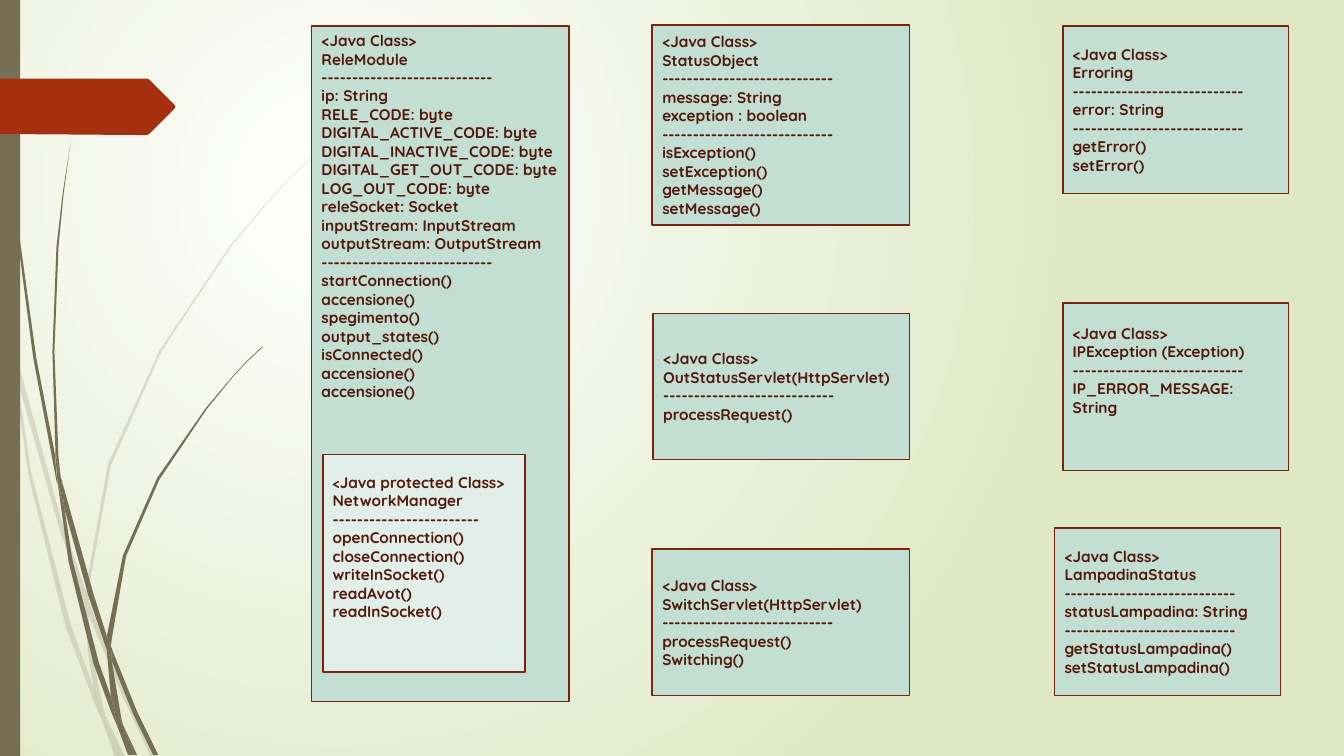
"""Build a slide of Java class boxes over a background of curved grass blades."""
from dataclasses import dataclass

from lxml.etree import SubElement
from pptx import Presentation
from pptx.dml.color import RGBColor as RGB
from pptx.enum.shapes import MSO_SHAPE as SHAPE
from pptx.enum.text import MSO_ANCHOR as ANCHOR, PP_ALIGN as ALIGN
from pptx.oxml.ns import qn
from pptx.util import Pt

RULE = "-" * 28
SHORT_RULE = "-" * 24

CLASSES = [
    {"at": (1046, 524, 224, 166),
     "lines": ["<Java Class>", "LampadinaStatus", RULE, "statusLampadina: String", RULE,
               "getStatusLampadina()", "setStatusLampadina()"]},
    {"at": (647, 25, 255, 198),
     "lines": ["<Java Class>", "StatusObject", RULE, "message: String", "exception : boolean",
               RULE, "isException()", "setException()", "getMessage()", "setMessage()"]},
    {"at": (1054, 26, 224, 166),
     "lines": ["<Java Class>", "Erroring", RULE, "error: String", RULE,
               "getError()", "setError()"]},
    {"at": (1054, 301, 224, 166), "bottom": 38,
     "lines": ["<Java Class>", "IPException (Exception)", RULE, "IP_ERROR_MESSAGE: String"]},
    {"at": (309, 26, 255, 670), "anchor": ANCHOR.TOP,
     "lines": ["<Java Class>", "ReleModule", RULE, "ip: String", "RELE_CODE: byte",
               "DIGITAL_ACTIVE_CODE: byte", "DIGITAL_INACTIVE_CODE: byte",
               "DIGITAL_GET_OUT_CODE: byte", "LOG_OUT_CODE: byte", "releSocket: Socket",
               "inputStream: InputStream", "outputStream: OutputStream", RULE,
               "startConnection()", "accensione()", "spegimento()", "output_states()",
               "isConnected()", "accensione()", "accensione()"]},
    {"at": (320, 451, 201, 216), "bottom": 38, "nested": True,
     "lines": [("<", "Java protected Class>"), "NetworkManager", SHORT_RULE,
               "openConnection()", "closeConnection()", "writeInSocket()", "readAvot()",
               "readInSocket()"]},
    {"at": (648, 311, 254, 145),
     "lines": ["<Java Class>", "OutStatusServlet(HttpServlet)", RULE, "processRequest()"]},
    {"at": (647, 545, 255, 145),
     "lines": ["<Java Class>", "SwitchServlet(HttpServlet)", RULE, "processRequest()",
               "Switching()"]},
]

PALE_GRASS = [
    [(11, 350), (9, 322), (0, 282), (0, 299), (10, 344)],
    [(58, 522), (84, 599), (85, 586), (62, 520), (14, 345), (17, 376)],
    [(92, 607), (88, 596), (88, 610), (123, 694), (150, 751), (155, 751), (127, 692)],
    [(119, 751), (124, 751), (105, 711)],
    [(93, 683), (70, 619), (31, 469), (17, 376), (11, 350), (28, 470), (65, 621), (92, 693),
     (101, 714), (99, 707)],
    [(84, 599), (87, 646), (93, 683), (96, 692), (105, 711), (103, 706), (91, 646), (88, 610),
     (88, 608)],
    [(88, 584), (110, 462), (160, 349), (229, 245), (268, 198), (290, 175), (312, 154),
     (312, 153), (289, 175), (268, 197), (228, 244), (158, 348), (107, 461), (85, 584),
     (85, 586), (88, 596)],
    [(101, 714), (114, 751), (119, 751)],
    [(88, 608), (88, 610), (88, 596), (85, 586), (84, 599)],
    [(96, 692), (93, 683), (99, 707), (101, 714), (119, 751), (105, 711)],
]
DARK_GRASS = [
    [(7, 110), (17, 233), (33, 355), (56, 477), (57, 481), (55, 457), (55, 453), (36, 355),
     (19, 232), (8, 109), (5, 48), (4, 0), (3, 0), (4, 48)],
    [(88, 592), (106, 645), (106, 633), (106, 631), (93, 590), (60, 472), (64, 505)],
    [(113, 649), (110, 641), (111, 656), (132, 708), (152, 749), (157, 749), (136, 706)],
    [(110, 691), (98, 657), (72, 556), (64, 505), (57, 477), (68, 557), (93, 659), (111, 708),
     (117, 722), (116, 717)],
    [(60, 472), (58, 453), (54, 349), (58, 245), (63, 193), (70, 141), (62, 193), (56, 245),
     (52, 349), (55, 449)],
    [(133, 749), (136, 749), (122, 719)],
    [(57, 477), (64, 505), (60, 472), (55, 449), (55, 453)],
    [(111, 633), (125, 552), (158, 476), (205, 406), (231, 374), (245, 359), (261, 344),
     (260, 344), (245, 358), (231, 373), (204, 405), (156, 474), (122, 551), (106, 631),
     (110, 641)],
    [(117, 722), (127, 749), (131, 749)],
    [(106, 645), (110, 691), (116, 706), (122, 719), (121, 716), (111, 656), (109, 651)],
    [(106, 645), (109, 651), (111, 656), (110, 641), (106, 631), (106, 633)],
    [(116, 706), (110, 691), (116, 717), (117, 722), (130, 749), (133, 749), (122, 719)],
]
BANNER = [(173, 108), (148, 133), (146, 134), (136, 134), (0, 133), (0, 78), (136, 78),
          (146, 78), (148, 79), (173, 104), (174, 106)]


@dataclass(frozen=True)
class Theme:
    font: str = "Quicksand"
    size: Pt = Pt(11)
    bracket: Pt = Pt(10)
    border: Pt = Pt(1.25)
    text: RGB = RGB(0x52, 0x18, 0x08)
    line: RGB = RGB(0x7A, 0x24, 0x0C)
    box: RGB = RGB(0xC3, 0xDE, 0xD3)
    nested: RGB = RGB(0xE1, 0xEE, 0xE9)
    grass: RGB = RGB(0x76, 0x6F, 0x54)
    banner: RGB = RGB(0xA5, 0x30, 0x10)
    glow: RGB = RGB(0xFF, 0xFF, 0xFF)
    edge: RGB = RGB(0xDF, 0xE8, 0xC4)


T = Theme()
PX = 9144
W, H = 1333, 750


def px(n):
    return n * PX


def paint(sp, color):
    sp.shadow.inherit = False
    sp.fill.solid()
    sp.fill.fore_color.rgb = color
    sp.line.fill.background()
    return sp


def add_rect(slide, at, color):
    return paint(slide.shapes.add_shape(SHAPE.RECTANGLE, *map(px, at)), color)


def add_outline(slide, points, color, alpha=None):
    builder = slide.shapes.build_freeform(*points[0], scale=PX)
    builder.add_line_segments(points[1:], close=True)
    sp = paint(builder.convert_to_shape(), color)
    if alpha:
        fill = sp.element.spPr.find(qn("a:solidFill"))
        SubElement(fill[0], qn("a:alpha"), {"val": str(alpha * 1000)})


def set_background(slide):
    fill = slide.background.fill
    fill.gradient()
    for stop, color in zip(fill.gradient_stops, (T.glow, T.edge)):
        stop.color.rgb = color
    grad = slide.element.find(".//" + qn("a:gradFill"))
    grad.remove(grad.find(qn("a:lin")))
    circle = SubElement(grad, qn("a:path"), {"path": "circle"})
    SubElement(circle, qn("a:fillToRect"),
               {"l": "50000", "t": "50000", "r": "100000", "b": "100000"})


def add_class(slide, item):
    sp = add_rect(slide, item["at"], T.nested if item.get("nested") else T.box)
    sp.line.color.rgb = T.line
    sp.line.width = T.border
    tf = sp.text_frame
    tf.word_wrap = True
    tf.vertical_anchor = item.get("anchor", ANCHOR.MIDDLE)
    tf.margin_left = tf.margin_right = px(10)
    tf.margin_top, tf.margin_bottom = px(5), px(item.get("bottom", 5))
    for i, line in enumerate(item["lines"]):
        p = tf.add_paragraph() if i else tf.paragraphs[0]
        p.alignment = ALIGN.JUSTIFY
        for text in (line,) if isinstance(line, str) else line:
            r = p.add_run()
            r.text = text
            r.font.name, r.font.bold = T.font, True
            r.font.size = T.bracket if text == "<" else T.size
            r.font.color.rgb = T.text


def main():
    prs = Presentation()
    prs.slide_width, prs.slide_height = px(W), px(H)
    slide = prs.slides.add_slide(prs.slide_layouts[6])
    set_background(slide)
    for points in PALE_GRASS:
        add_outline(slide, points, T.grass, alpha=20)
    for points in DARK_GRASS:
        add_outline(slide, points, T.grass)
    add_rect(slide, (0, 0, 20, H), T.grass)
    add_outline(slide, BANNER, T.banner)
    for item in CLASSES:
        add_class(slide, item)
    prs.save("out.pptx")


if __name__ == "__main__":
    main()
